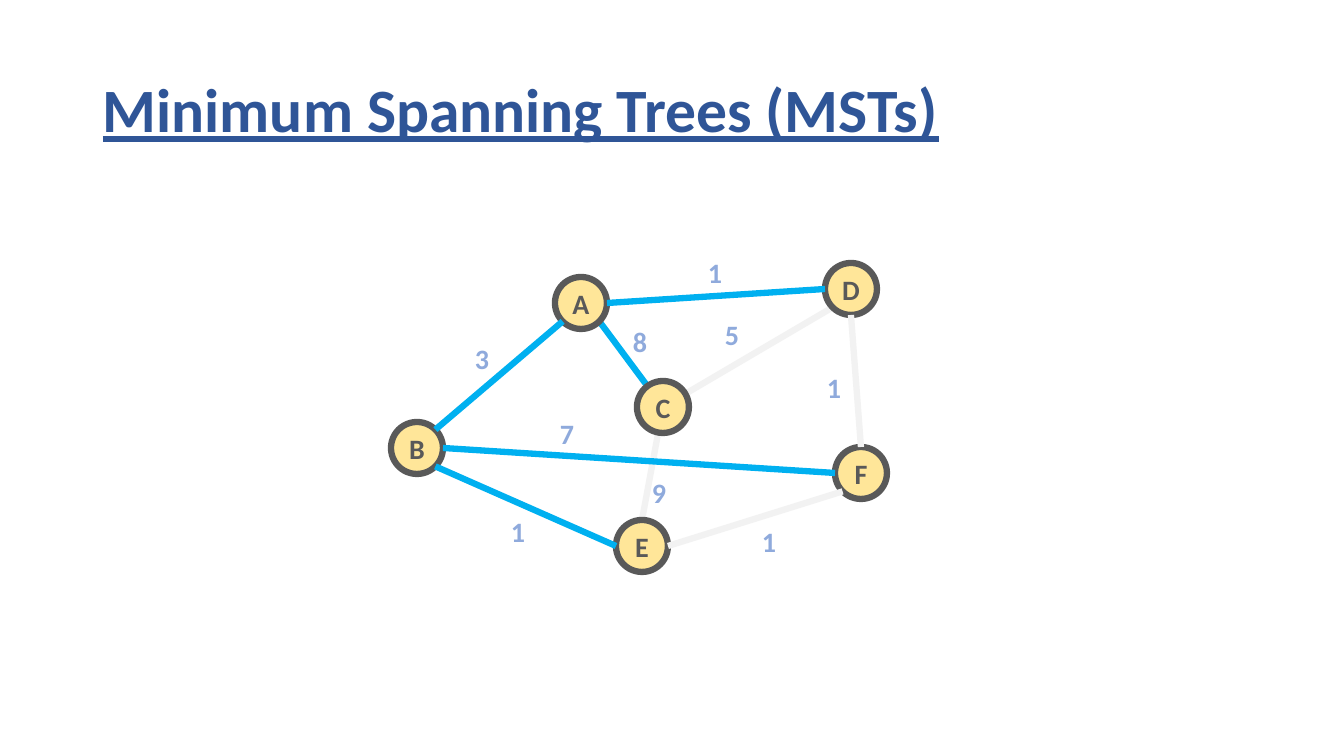
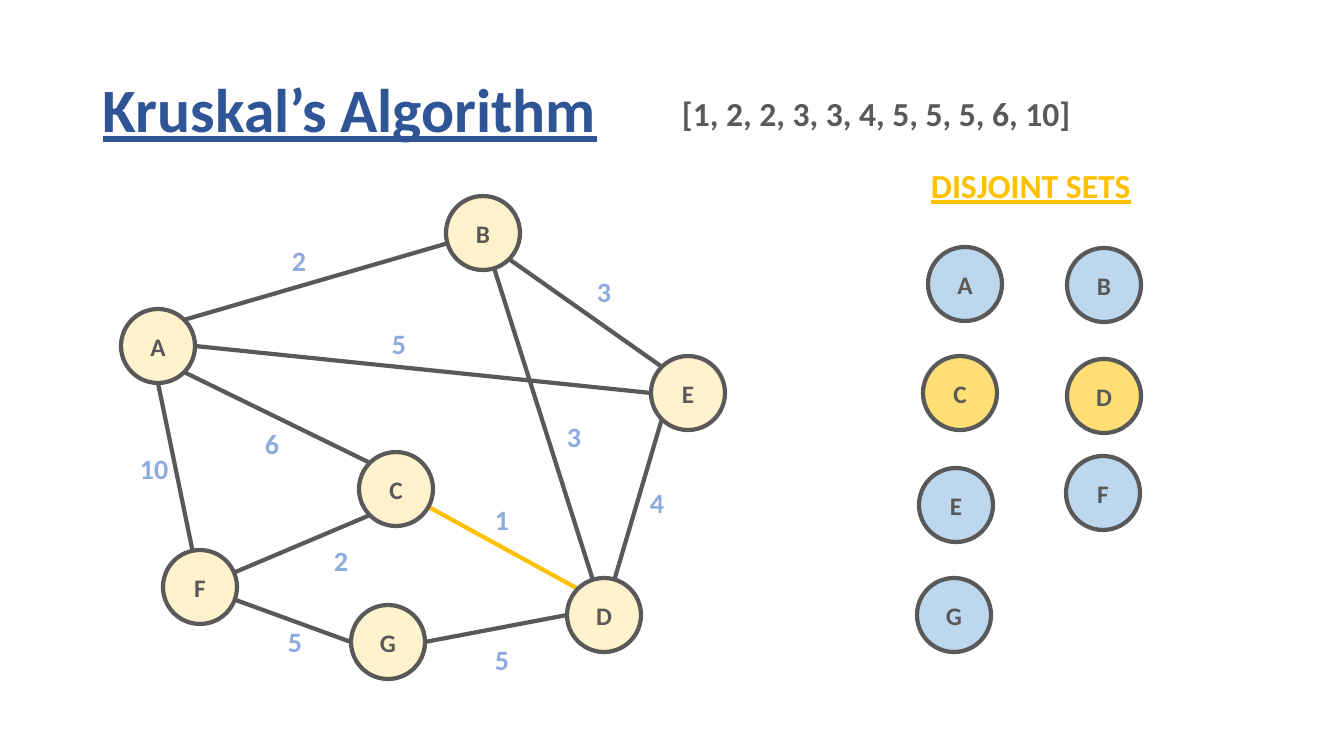
from dataclasses import dataclass
from math import sqrt

from lxml import etree
from pptx import Presentation
from pptx import util as u
from pptx.dml.color import RGBColor
from pptx.enum import shapes, text
from pptx.oxml.ns import qn


@dataclass(frozen=True)
class Theme:
    font: str = "Calibri"
    title: str = "2F5597"
    ink: str = "595959"
    weight: str = "8FAADC"
    accent: str = "FFC000"
    tree: str = "00B0F0"
    unused: str = "F2F2F2"
    vertex: str = "FFE699"
    pale: str = "FFF2CC"
    single: str = "BDD7EE"
    merged: str = "FFDE75"
    title_size: int = 44
    heading_size: int = 24
    weight_size: int = 20
    set_size: int = 18


T = Theme()

SPANNING = {
    "title": "Minimum Spanning Trees (MSTs)",
    "style": dict(diameter=52, stroke=4.5, size=T.weight_size),
    "nodes": [(name, x, y, T.vertex) for name, x, y in [
        ("A", 581, 303), ("B", 417, 448), ("C", 663, 407),
        ("D", 851, 289), ("E", 642, 546), ("F", 861, 473)]],
    "edges": [
        ("E", "n", "C", "c", T.unused), ("A", "se", "C", "c", T.tree),
        ("C", "c", "D", "sw", T.unused), ("B", "ne", "A", "sw", T.tree),
        ("A", "e", "D", "w", T.tree), ("D", "s", "F", "n", T.unused),
        ("B", "se", "E", "w", T.tree), ("E", "e", "F", "sw", T.unused),
        ("B", "e", "F", "w", T.tree)],
    "weights": [
        ("3", 465, 337), ("7", 550, 412), ("1", 501, 510),
        ("1", 698, 251), ("5", 715, 313), ("1", 817, 366),
        ("1", 752, 520), ("9", 642, 471), ("8", 623, 320)],
    "weight_width": 34,
}

KRUSKAL = {
    "title": "Kruskal’s Algorithm",
    "style": dict(diameter=74, stroke=3, size=T.set_size),
    "nodes": [(name, x, y, T.pale) for name, x, y in [
        ("A", 158, 346), ("B", 483, 233), ("C", 396, 489), ("D", 604, 615),
        ("E", 688, 393), ("F", 200, 587), ("G", 388, 642)]],
    "edges": [
        ("A", "s", "F", "c", T.ink), ("C", "sw", "F", "c", T.ink),
        ("G", "w", "F", "c", T.ink), ("C", "c", "D", "nw", T.accent),
        ("D", "c", "E", "sw", T.ink), ("D", "c", "B", "c", T.ink),
        ("A", "ne", "B", "c", T.ink), ("A", "se", "C", "nw", T.ink),
        ("A", "e", "E", "w", T.ink), ("G", "e", "D", "w", T.ink),
        ("B", "se", "E", "nw", T.ink)],
    "weights": [
        ("2", 282, 239), ("5", 382, 322), ("6", 255, 422), ("3", 557, 415),
        ("4", 640, 481), ("10", 130, 447), ("2", 324, 539), ("1", 485, 498),
        ("5", 485, 638), ("5", 278, 620), ("3", 587, 270)],
    "weight_width": 49,
}

DISJOINT_SETS = [
    ("A", 965, 284, T.single), ("B", 1104, 285, T.single),
    ("C", 960, 393, T.merged), ("D", 1104, 396, T.merged),
    ("E", 956, 505, T.single), ("F", 1103, 493, T.single),
    ("G", 954, 615, T.single)]

HEADINGS = [
    ("DISJOINT SETS", (921, 160, 222, 50), T.accent, True),
    ("[1, 2, 2, 3, 3, 4, 5, 5, 5, 6, 10]", (672, 88, 412, 50), T.ink, False)]

TITLE_BOX = (93, 40, 1159, 146)
WEIGHT_HEIGHT = 44
SCALE = u.Inches(1) / 100.8
STEPS = {"n": (0, -1), "s": (0, 1), "w": (-1, 0), "e": (1, 0)}


def px(*lengths):
    return [round(v * SCALE) for v in lengths]


def assign(target, **values):
    for key, value in values.items():
        setattr(target, key, value)


def write(sp, words, color, size, underline=None, align=None, **frame):
    tf = sp.text_frame
    assign(tf, **{"word_wrap": True, **frame})
    p = tf.paragraphs[0]
    p.alignment = align
    r = p.add_run()
    r.text = words
    assign(r.font, name=T.font, size=u.Pt(size), bold=True, underline=underline)
    r.font.color.rgb = RGBColor.from_string(color)
    return p


def add_text(s, words, box, color, size, **options):
    return write(s.shapes.add_textbox(*px(*box)), words, color, size, **options)


def add_node(s, name, x, y, fill, diameter, stroke, size):
    r = diameter / 2
    sp = s.shapes.add_shape(shapes.MSO_SHAPE.OVAL,
                            *px(x - r, y - r, diameter, diameter))
    sp.shadow.inherit = False
    sp.fill.solid()
    sp.fill.fore_color.rgb = RGBColor.from_string(fill)
    sp.line.color.rgb = RGBColor.from_string(T.ink)
    sp.line.width = u.Pt(stroke)
    write(sp, name, T.ink, size, align=text.PP_ALIGN.CENTER, word_wrap=False,
          vertical_anchor=text.MSO_ANCHOR.MIDDLE,
          margin_left=0, margin_right=0, margin_top=0, margin_bottom=0)


def anchor(center, side, radius):
    steps = [STEPS[c] for c in side if c in STEPS]
    reach = radius / sqrt(len(steps) or 1)
    return [c + reach * sum(step[i] for step in steps)
            for i, c in enumerate(center)]


def add_edge(s, start, end, color, stroke):
    line = s.shapes.add_connector(shapes.MSO_CONNECTOR.STRAIGHT,
                                  *px(*start, *end))
    line.line.color.rgb = RGBColor.from_string(color)
    line.line.width = u.Pt(stroke)
    etree.SubElement(line._element.spPr, qn("a:effectLst"))


def add_graph(s, graph):
    style = graph["style"]
    centers = {name: (x, y) for name, x, y, _ in graph["nodes"]}

    def add_edges(behind):
        for a, side_a, b, side_b, color in graph["edges"]:
            if ("c" in (side_a, side_b)) == behind:
                ends = [anchor(centers[n], side, style["diameter"] / 2)
                        for n, side in ((a, side_a), (b, side_b))]
                add_edge(s, *ends, color, style["stroke"])

    add_edges(behind=True)
    for node in graph["nodes"]:
        add_node(s, *node, **style)
    add_edges(behind=False)
    for words, x, y in graph["weights"]:
        add_text(s, words, (x, y, graph["weight_width"], WEIGHT_HEIGHT),
                 T.weight, T.weight_size)


def add_slide(prs, graph):
    s = prs.slides.add_slide(prs.slide_layouts[6])
    p = add_text(s, graph["title"], TITLE_BOX, T.title, T.title_size,
                 underline=True, vertical_anchor=text.MSO_ANCHOR.MIDDLE)
    p.line_spacing = 0.9
    add_graph(s, graph)
    return s


prs = Presentation()
prs.slide_width, prs.slide_height = px(1344, 756)

add_slide(prs, SPANNING)

s = add_slide(prs, KRUSKAL)
for node in DISJOINT_SETS:
    add_node(s, *node, **KRUSKAL["style"])
for words, box, color, underline in HEADINGS:
    add_text(s, words, box, color, T.heading_size,
             underline=underline, word_wrap=False)

prs.save("out.pptx")
